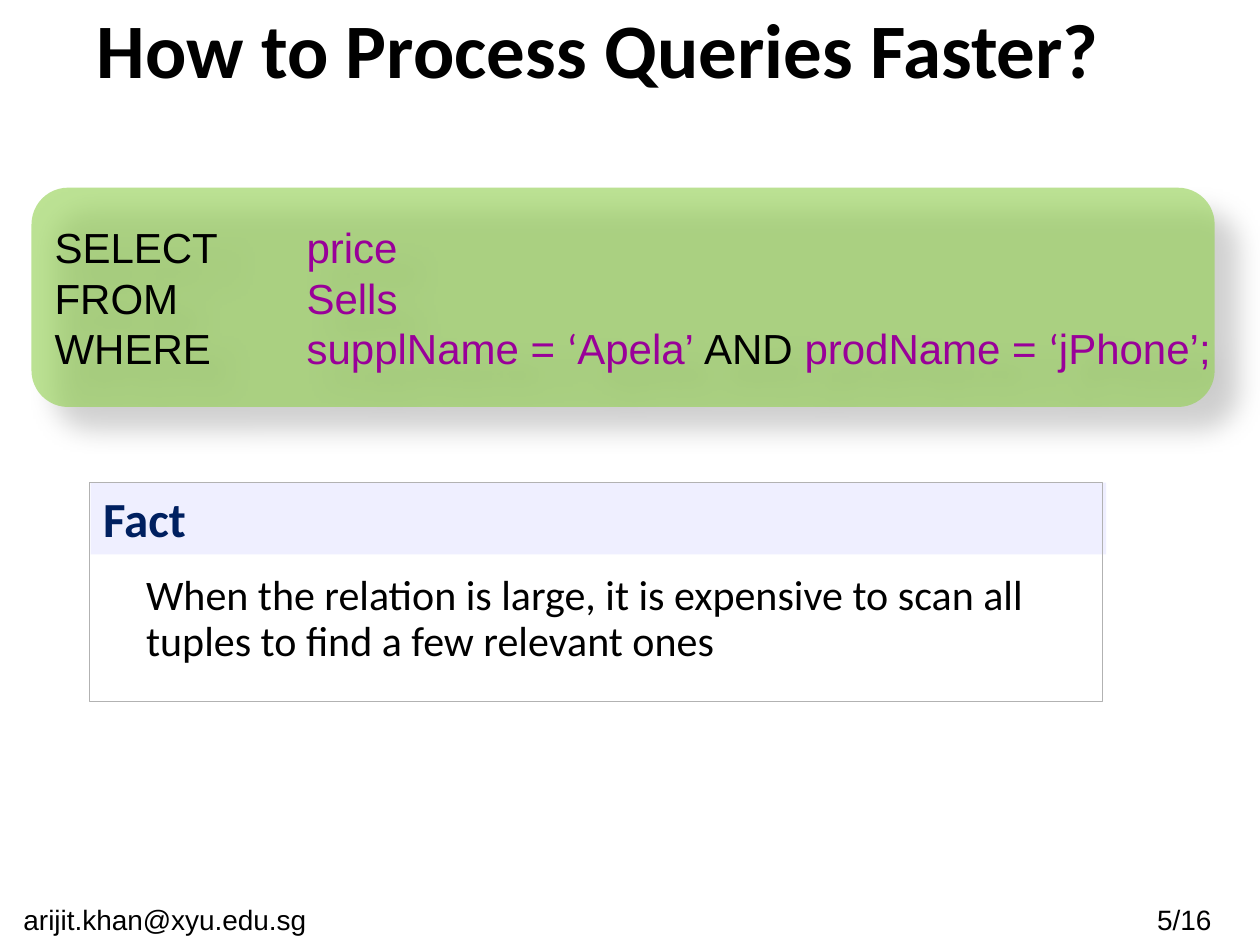
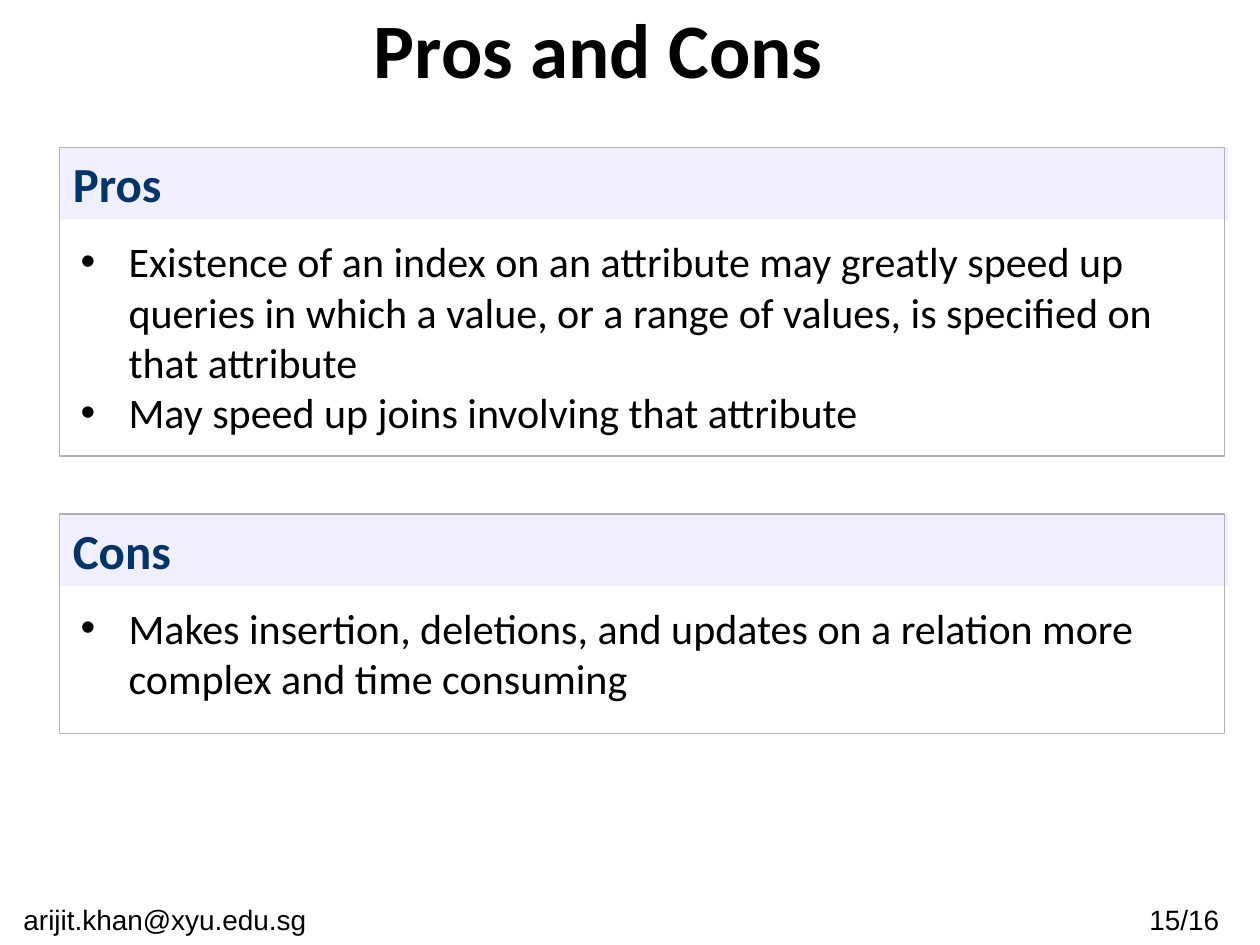
"""Build two lecture slides on query processing and the trade-offs of indexes."""
from lxml import etree
from pptx import Presentation
from pptx.dml.color import RGBColor
from pptx.enum.shapes import MSO_SHAPE
from pptx.enum.text import MSO_ANCHOR, MSO_AUTO_SIZE, PP_ALIGN
from pptx.oxml.ns import qn
from pptx.util import Inches, Pt

RECTANGLE, ROUNDED = MSO_SHAPE.RECTANGLE, MSO_SHAPE.ROUNDED_RECTANGLE
TOP, MIDDLE = MSO_ANCHOR.TOP, MSO_ANCHOR.MIDDLE
LEFT, CENTER = PP_ALIGN.LEFT, PP_ALIGN.CENTER
NO_FIT = MSO_AUTO_SIZE.NONE

BLACK, PURPLE, NAVY, BLUE = "000000", "990099", "002060", "003366"
GREEN, BAND, OUTLINE = "92D050", "EFEFFF", "B2B2B2"
HEADING_FONT, CODE_FONT = "Calibri", "Arial"
EMAIL = "arijit.khan@xyu.edu.sg "
BAND_HEIGHT = 0.57
BULLET_INDENT = Inches(0.38)

SLIDES = [
    {
        "title": "How to Process Queries Faster?", "number": "5/16 ", "layout": 1,
        "panels": [
            ("Fact", NAVY, (0.71, 3.83, 8.04, 1.74), (1.06, 4.51, 7.61, 0.83), False,
             ["When the relation is large, it is expensive to scan all tuples "
              "to find a few relevant ones"]),
        ],
    },
    {
        "title": "Pros and Cons", "number": "15/16 ", "layout": 3,
        "panels": [
            ("Pros", BLUE, (0.47, 1.17, 9.25, 2.45), (0.54, 1.82, 9.17, 2.12), True,
             ["Existence of an index on an attribute may greatly speed up queries in "
              "which a value, or a range of values, is specified on that attribute",
              "May speed up joins involving that attribute"]),
            ("Cons", BLUE, (0.47, 4.08, 9.25, 1.74), (0.54, 4.73, 9.17, 1.31), True,
             ["Makes insertion, deletions, and updates on a relation more complex "
              "and time consuming"]),
        ],
    },
]

QUERY = [
    [("SELECT\t", BLACK, CODE_FONT), ("price", PURPLE, CODE_FONT)],
    [("FROM\t", BLACK, CODE_FONT), ("Sells", PURPLE, CODE_FONT)],
    [("WHERE\t", BLACK, CODE_FONT), ("supplName = ", PURPLE, CODE_FONT),
     ("‘", PURPLE, HEADING_FONT), ("Apela’ ", PURPLE, CODE_FONT),
     ("AND ", BLACK, CODE_FONT), ("prodName = ", PURPLE, CODE_FONT),
     ("‘", PURPLE, HEADING_FONT), ("jPhone’;", PURPLE, CODE_FONT)],
]


def color(value):
    return RGBColor.from_string(value)


def add_run(paragraph, text, size, font, value, bold=False):
    run = paragraph.add_run()
    run.text = text
    run.font.size = Pt(size)
    run.font.name = font
    run.font.bold = bold
    run.font.color.rgb = color(value)


presentation = Presentation()
presentation.slide_width = Inches(10)
presentation.slide_height = Inches(7.5)

for content in SLIDES:
    slide = presentation.slides.add_slide(presentation.slide_layouts[content["layout"]])

    title = slide.shapes.title
    title.left, title.top, title.width, title.height = map(Inches, (0.25, 0, 9, 0.75))
    title.text_frame.auto_size = NO_FIT
    title.text_frame.vertical_anchor = MIDDLE
    paragraph = title.text_frame.paragraphs[0]
    paragraph.alignment = CENTER
    add_run(paragraph, content["title"], 44, HEADING_FONT, BLACK, True)

    for text, left, width in ((content["number"], 8.85, 1.16), (EMAIL, 0, 2.68)):
        footer = slide.shapes.add_textbox(
            Inches(left), Inches(7.11), Inches(width), Inches(0.39))
        footer.text_frame.word_wrap = True
        paragraph = footer.text_frame.paragraphs[0]
        paragraph.alignment = CENTER
        add_run(paragraph, text, 16, CODE_FONT, BLACK)

    bodies = list(slide.placeholders)[1:]
    for body, panel in zip(bodies, content["panels"]):
        heading, heading_color, frame_box, body_box, bulleted, items = panel
        left, top, width, height = frame_box

        band = slide.shapes.add_shape(
            RECTANGLE, Inches(left + 0.01), Inches(top),
            Inches(width + 0.02), Inches(BAND_HEIGHT))
        band.shadow.inherit = False
        band.fill.solid()
        band.fill.fore_color.rgb = color(BAND)
        band.line.fill.background()
        band.text_frame.vertical_anchor = TOP
        paragraph = band.text_frame.paragraphs[0]
        paragraph.alignment = LEFT
        add_run(paragraph, heading, 28, HEADING_FONT, heading_color, True)

        frame = slide.shapes.add_shape(RECTANGLE, *map(Inches, frame_box))
        frame.shadow.inherit = False
        frame.fill.background()
        frame.line.color.rgb = color(OUTLINE)
        frame.line.width = Pt(0.75)

        body.left, body.top, body.width, body.height = map(Inches, body_box)
        body.text_frame.auto_size = NO_FIT
        for index, item in enumerate(items):
            if index:
                paragraph = body.text_frame.add_paragraph()
            else:
                paragraph = body.text_frame.paragraphs[0]
            paragraph.space_before = Pt(0)
            paragraph.line_spacing = 1.0 if bulleted else 0.9
            add_run(paragraph, item, 24, HEADING_FONT, BLACK)
            properties = paragraph._p.get_or_add_pPr()
            indent = BULLET_INDENT if bulleted else 0
            properties.set("marL", str(indent))
            properties.set("indent", str(-indent))
            if bulleted:
                etree.SubElement(properties, qn("a:buFont"), typeface=CODE_FONT)
                etree.SubElement(properties, qn("a:buChar"), char="•")
            else:
                etree.SubElement(properties, qn("a:buNone"))

query_box = presentation.slides[0].shapes.add_shape(
    ROUNDED, Inches(0.25), Inches(1.49), Inches(9.39), Inches(1.74))
query_box.shadow.inherit = False
query_box.fill.solid()
query_box.fill.fore_color.rgb = color(GREEN)
query_box.line.fill.background()
shape_properties = query_box._element.spPr
fill_color = shape_properties.find(qn("a:solidFill")).find(qn("a:srgbClr"))
etree.SubElement(fill_color, qn("a:alpha"), val="61000")
shadow = etree.SubElement(
    shape_properties.find(qn("a:effectLst")), qn("a:outerShdw"),
    blurRad=str(Pt(15)), dist=str(Pt(18)), dir="2700000", algn="tl", rotWithShape="0")
shadow_color = etree.SubElement(shadow, qn("a:srgbClr"), val=BLACK)
etree.SubElement(shadow_color, qn("a:alpha"), val="30000")

query_box.text_frame.word_wrap = False
query_box.text_frame.vertical_anchor = MIDDLE
for index, line in enumerate(QUERY):
    if index:
        paragraph = query_box.text_frame.add_paragraph()
    else:
        paragraph = query_box.text_frame.paragraphs[0]
    paragraph.alignment = LEFT
    tabs = etree.SubElement(paragraph._p.get_or_add_pPr(), qn("a:tabLst"))
    etree.SubElement(tabs, qn("a:tab"), pos=str(Inches(2)), algn="l")
    for text, value, font in line:
        add_run(paragraph, text, 24, font, value)

presentation.save("out.pptx")
